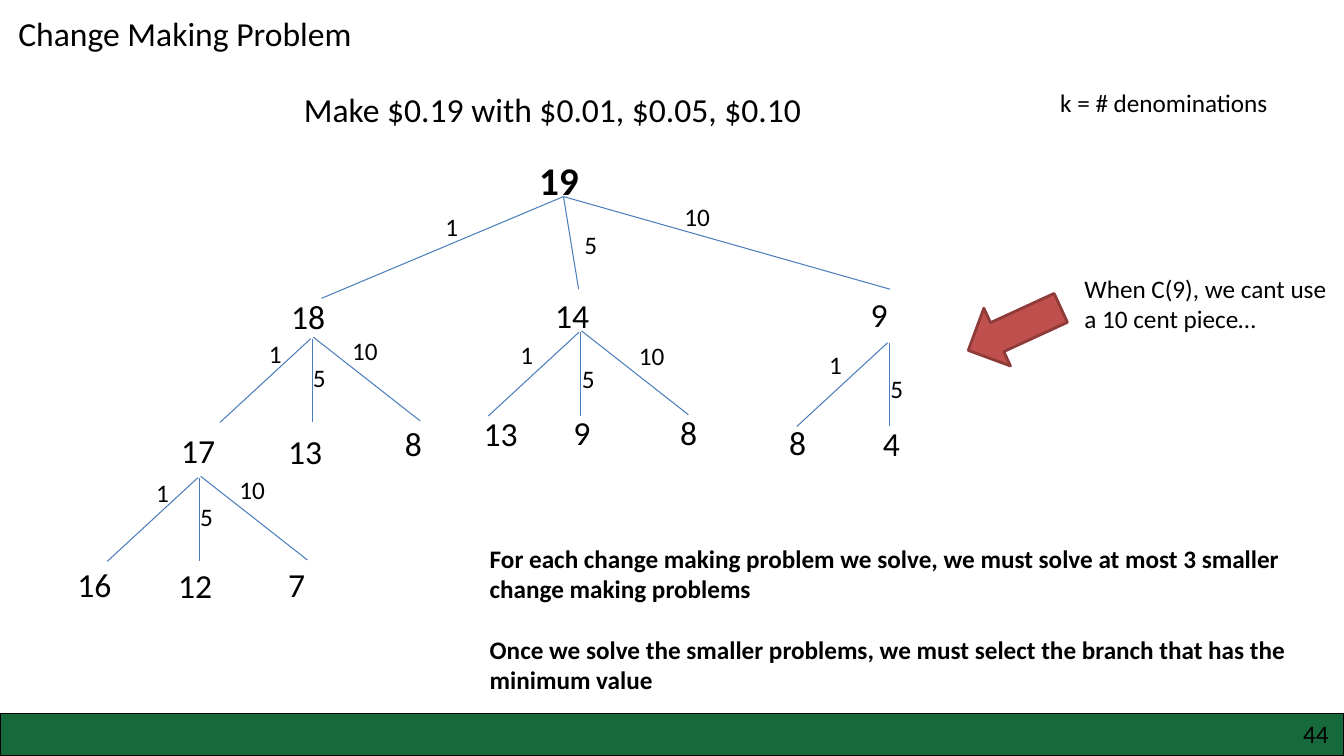
from lxml.etree import SubElement
from pptx import Presentation
from pptx.dml.color import RGBColor
from pptx.enum.shapes import MSO_CONNECTOR as CONN, MSO_SHAPE as SHAPE
from pptx.enum.text import MSO_AUTO_SIZE as AUTO
from pptx.oxml.ns import qn
from pptx.util import Pt

COLORS = {
    "text": "000000",
    "branch": "4B7EBC",
    "arrow": "C0504D",
    "arrow_edge": "8E3B39",
    "footer": "15693B",
    "footer_edge": "000000",
}
FONT = "Calibri"

# Coin labels as offsets from the top of a fan, in coin order
TIGHT_LABELS = [("1", -38.2, -3.6), ("5", -6.8, 13.3), ("10", 21.3, -5.8)]
WIDE_LABELS = [("1", -50, 1.5), ("5", -6.2, 18.4), ("10", 34.6, 2.2)]

# Branches as offsets from the top of a fan: start x, y, end x, y
FAN = [(-1.2, 0, -66, 59.8), (0, 0, 0, 59.8), (0.7, -1, 77, 58.8)]

# Top of each fan, its number of coins, its labels
FANS = [
    (223.2, 241.9, 3, TIGHT_LABELS),
    (142.6, 341.2, 3, TIGHT_LABELS),
    (414.7, 237.4, 3, WIDE_LABELS),
    (635.2, 244.8, 2, WIDE_LABELS),
]

# Amounts left to make: text, left, top
AMOUNTS = [
    ("18", 200.9, 208.1), ("14", 389.5, 207.4), ("9", 614.9, 206.6),
    ("17", 122.4, 303.8), ("13", 198.7, 304.6), ("8", 282.2, 298.8),
    ("13", 338.4, 291.6), ("9", 402.5, 290.9), ("8", 478.8, 290.9),
    ("8", 556.6, 298.1), ("4", 623.5, 298.8),
    ("16", 48.2, 399.6), ("12", 120.2, 400.3), ("7", 198.7, 399.6),
]

ROOT = (402.5, 140.4)
ROOT_ENDS = [(229.7, 213.1), (413.3, 206.6), (635.8, 206.6)]
ROOT_LABELS = [("1", 311, 147.6), ("5", 410.4, 160.6), ("10", 481.7, 140.4)]


def rgb(name):
    return RGBColor.from_string(COLORS[name])


def add_text(slide, text, left, top, width, height, size=18, bold=False,
             wrap=False, grow=True, gap=0):
    tf = slide.shapes.add_textbox(Pt(left), Pt(top), Pt(width), Pt(height)).text_frame
    tf.word_wrap = wrap
    tf.auto_size = AUTO.SHAPE_TO_FIT_TEXT if grow else AUTO.NONE
    for i, line in enumerate(text.split("\n")):
        p = tf.add_paragraph() if i else tf.paragraphs[0]
        if i:
            p.space_before = Pt(gap)
        r = p.add_run()
        r.text = line
        r.font.name = FONT
        r.font.size = Pt(size)
        r.font.bold = bold
        r.font.color.rgb = rgb("text")


def add_number(slide, text, left, top, size, bold=False):
    width = 14.4 + 0.56 * size * len(text)
    add_text(slide, text, left, top, width, 7.2 + 1.2 * size, size=size, bold=bold)


def add_branch(slide, x1, y1, x2, y2):
    line = slide.shapes.add_connector(CONN.STRAIGHT, Pt(x1), Pt(y1), Pt(x2), Pt(y2))
    line.line.color.rgb = rgb("branch")
    line.line.width = Pt(0.75)
    SubElement(line._element.spPr, qn("a:effectLst"))


def add_fan(slide, x, y, coins, labels):
    for x1, y1, x2, y2 in FAN[:coins]:
        add_branch(slide, x + x1, y + y1, x + x2, y + y2)
    for coin, dx, dy in labels[:coins]:
        add_number(slide, coin, x + dx, y + dy, 18)


def add_block(slide, kind, left, top, width, height, fill, edge, weight, rotation=0):
    sp = slide.shapes.add_shape(kind, Pt(left), Pt(top), Pt(width), Pt(height))
    sp.shadow.inherit = False
    sp.rotation = rotation
    sp.fill.solid()
    sp.fill.fore_color.rgb = rgb(fill)
    sp.line.color.rgb = rgb(edge)
    sp.line.width = Pt(weight)


def main():
    prs = Presentation()
    prs.slide_width, prs.slide_height = Pt(960), Pt(540)
    slide = prs.slides.add_slide(prs.slide_layouts[6])

    # Headings
    add_text(slide, "Change Making Problem", 6, 6, 281.5, 36, size=24)
    add_text(slide, "Make $0.19 with $0.01, $0.05, $0.10", 210, 60, 406.8, 36, size=24)
    add_text(slide, "k = # denominations", 750.2, 59, 177.8, 28.8)

    # Root of the tree
    add_number(slide, "19", 378, 108, 28, bold=True)
    for end in ROOT_ENDS:
        add_branch(slide, *ROOT, *end)
    for coin, left, top in ROOT_LABELS:
        add_number(slide, coin, left, top, 18)

    # Lower levels
    for fan in FANS:
        add_fan(slide, *fan)
    for amount, left, top in AMOUNTS:
        add_number(slide, amount, left, top, 24)

    # Remarks
    add_block(slide, SHAPE.RIGHT_ARROW, 688.3, 212.4, 72.7, 45.4,
              "arrow", "arrow_edge", 2, rotation=155.3)
    add_text(slide, "When C(9), we cant use a 10 cent piece…",
             767.5, 191.5, 193, 51, wrap=True)
    add_text(slide,
             "For each change making problem we solve, we must solve at most 3 smaller "
             "change making problems\n"
             "Once we solve the smaller problems, we must select the branch that has the "
             "minimum value",
             342.7, 384.5, 599, 116.6, bold=True, wrap=True, gap=22)

    # Footer
    add_block(slide, SHAPE.RECTANGLE, 0, 509.8, 960, 30.2, "footer", "footer_edge", 1)
    add_text(slide, "44", 923.8, 509.8, 38.9, 21.6, wrap=True, grow=False)

    prs.save("out.pptx")


if __name__ == "__main__":
    main()
